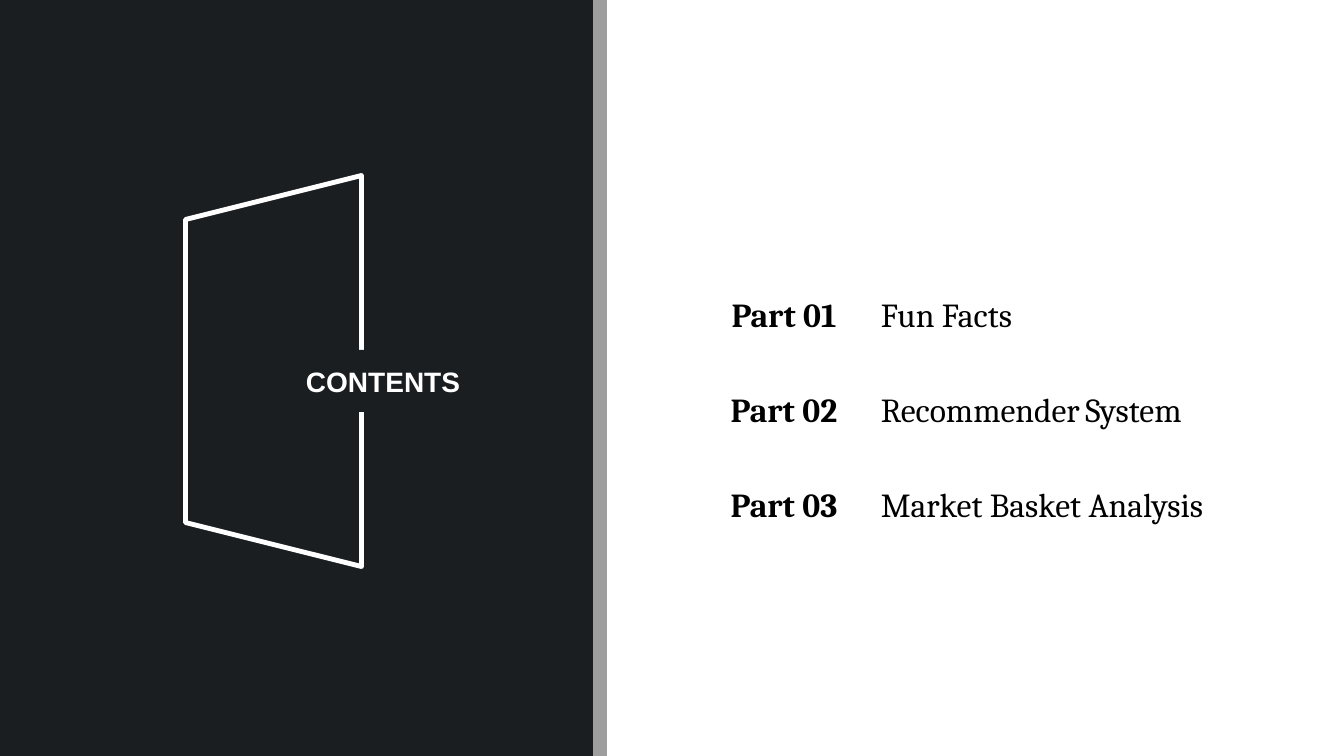
import lxml.etree
import pptx
import pptx.dml.color
import pptx.enum.shapes
import pptx.enum.text
import pptx.oxml.ns
import pptx.util

PX = 914400 / 100.8
SLIDE_W, SLIDE_H = 1344, 756
COLORS = {"panel": "1A1E21", "shadow": "0D0D0D", "white": "FFFFFF", "text": "000000"}
# number, title, width of the title box
PARTS = [
    ("Part 01", "Fun Facts", 399),
    ("Part 02", "Recommender System", 473),
    ("Part 03", "Market Basket Analysis", 399),
]
PITCH = 95
ALIGN = pptx.enum.text.PP_ALIGN
SHAPE = pptx.enum.shapes.MSO_SHAPE


def px(n):
    return pptx.util.Emu(round(n * PX))


def rgb(name):
    return pptx.dml.color.RGBColor.from_string(COLORS[name])


def add_dark_shape(s, kind, x, y, w, h):
    sp = s.shapes.add_shape(kind, px(x), px(y), px(w), px(h))
    sp.shadow.inherit = False
    sp.fill.solid()
    sp.fill.fore_color.rgb = rgb("panel")
    sp.line.fill.background()
    return sp


def add_side_shadow(sp):
    """Cast a hard, translucent shadow 10 points to the right."""
    qn = pptx.oxml.ns.qn
    effects = sp._element.spPr.find(qn("a:effectLst"))
    shadow = lxml.etree.SubElement(
        effects, qn("a:outerShdw"), blurRad="0", dist="127000", dir="0",
        algn="l", rotWithShape="0")
    color = lxml.etree.SubElement(shadow, qn("a:srgbClr"), val=COLORS["shadow"])
    lxml.etree.SubElement(color, qn("a:alpha"), val="40000")


def set_text(tf, text, size, font, color, bold, align):
    tf.vertical_anchor = pptx.enum.text.MSO_ANCHOR.MIDDLE
    p = tf.paragraphs[0]
    p.alignment = align
    p.add_run().text = text
    p.font.size = pptx.util.Pt(size)
    p.font.name = font
    p.font.bold = bold
    p.font.color.rgb = rgb(color)
    return p


def add_title_panel(s, x, y, w, h):
    panel = add_dark_shape(s, SHAPE.RECTANGLE, x, y, w, h)
    add_side_shadow(panel)

    door = add_dark_shape(s, SHAPE.TRAPEZOID, x + 78, y + 283, 391, 176)
    door.rotation = 270
    door.line.color.rgb = rgb("white")
    door.line.width = pptx.util.Pt(3.5)

    label = add_dark_shape(s, SHAPE.RECTANGLE, x + 260, y + 350, 246, 62)
    label.text_frame.word_wrap = False
    set_text(label.text_frame, "CONTENTS", 20, "Arial", "white", True, ALIGN.CENTER)


def add_part_text(group, x, y, w, h, text, bold, align):
    tf = group.shapes.add_textbox(px(x), px(y), px(w), px(h)).text_frame
    tf.word_wrap = True
    p = set_text(tf, text, 24, "Cambria", "text", bold, align)
    p.line_spacing = 1.5
    return p


def add_parts_list(s, x, y, number_w, row_h):
    for i, (number, title, title_w) in enumerate(PARTS):
        group = s.shapes.add_group_shape()
        top = y + i * PITCH
        p = add_part_text(group, x + number_w, top, title_w, row_h, title, False, ALIGN.LEFT)
        if title == "Recommender System":
            # The gap between these two words is set smaller
            first, last = title.split()
            p.runs[0].text = first
            gap = p.add_run()
            gap.text = " "
            gap.font.size = pptx.util.Pt(18)
            p.add_run().text = last
        add_part_text(group, x, top, number_w, row_h, number, True, ALIGN.CENTER)


def main():
    prs = pptx.Presentation()
    prs.slide_width, prs.slide_height = px(SLIDE_W), px(SLIDE_H)
    s = prs.slides.add_slide(prs.slide_layouts[6])
    s.background.fill.solid()
    s.background.fill.fore_color.rgb = rgb("white")
    add_title_panel(s, 0, 0, 593, SLIDE_H)
    add_parts_list(s, 697, 277, 174, 53)
    prs.save("out.pptx")


if __name__ == "__main__":
    main()
